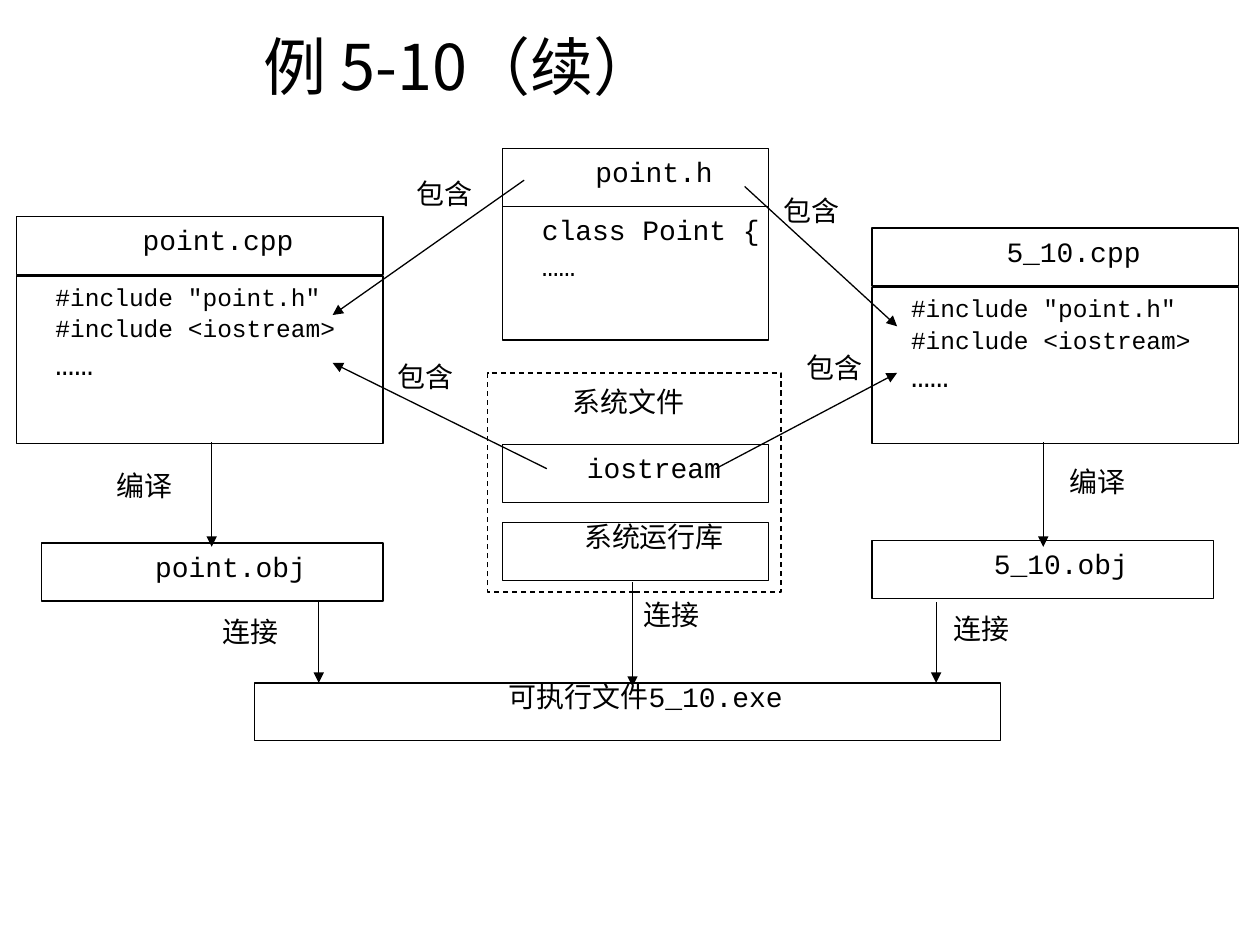
from dataclasses import dataclass

from lxml.etree import SubElement
from pptx import Presentation
from pptx.dml.color import RGBColor
from pptx.enum.dml import MSO_LINE
from pptx.enum.shapes import MSO_CONNECTOR, MSO_SHAPE
from pptx.enum.text import MSO_ANCHOR, PP_ALIGN
from pptx.oxml.ns import qn
from pptx.util import Inches, Pt

COLORS = {"ink": "000000"}
CODE_FONT, CHINESE_FONT = "Courier New", "Noto Sans CJK SC"
COLUMNS, ROWS = 100, 75
HEADER_HEIGHT = 4.6
LABEL_HEIGHT = 3.9
FIRST_INDENT = Inches(0.29)


@dataclass
class Line:
    text: str
    size: int = 16


@dataclass
class Box:
    column: float
    row: float
    width: float
    height: float = HEADER_HEIGHT
    lines: tuple[Line, ...] = ()
    align: PP_ALIGN = PP_ALIGN.CENTER
    dashed: bool = False


@dataclass
class Label:
    column: float
    row: float
    text: str
    width: float = 10.1


@dataclass
class Arrow:
    start: tuple[float, float]
    end: tuple[float, float]


INCLUDES = (Line('#include "point.h"', 14), Line("#include <iostream>", 14), Line("……", 18))
BOXES = [
    Box(38.7, 29.6, 23.3, 17.4, dashed=True),
    Box(1.3, 17.2, 29.1, lines=(Line("point.cpp"),)),
    Box(1.3, 21.9, 29.1, 13.3, INCLUDES, PP_ALIGN.LEFT),
    Box(39.9, 11.8, 21.1, lines=(Line("point.h"),)),
    Box(39.9, 16.4, 21.1, 10.6, (Line("class Point {"), Line("……")), PP_ALIGN.LEFT),
    Box(69.2, 18.1, 29.1, lines=(Line("5_10.cpp"),)),
    Box(69.2, 22.8, 29.1, 12.4, INCLUDES, PP_ALIGN.LEFT),
    Box(39.9, 35.3, 21.1, lines=(Line("iostream"),)),
    Box(39.9, 41.5, 21.1, lines=(Line("系统运行库"),)),
    Box(3.3, 43.1, 27.1, lines=(Line("point.obj"),)),
    Box(69.2, 42.9, 27.1, lines=(Line("5_10.obj"),)),
    Box(20.2, 54.2, 59.2, lines=(Line("可执行文件5_10.exe"),)),
]
LABELS = [
    Label(28.8, 14.3, "包含"), Label(57.9, 15.7, "包含"),
    Label(27.3, 28.8, "包含"), Label(59.7, 28.1, "包含"),
    Label(5, 37.5, "编译"), Label(80.6, 37.2, "编译"),
    Label(13.4, 49.1, "连接"), Label(46.8, 47.7, "连接"), Label(71.4, 48.8, "连接"),
    Label(37.6, 30.8, "系统文件", 21.7),
]
ARROWS = [
    Arrow((41.6, 14.3), (26.4, 25)), Arrow((59.1, 14.8), (71.2, 25.9)),
    Arrow((43.4, 37.2), (26.4, 28.8)), Arrow((56.8, 37.2), (71.2, 29.6)),
    Arrow((16.8, 35.1), (16.8, 43.4)), Arrow((82.8, 35.1), (82.8, 43.4)),
    Arrow((25.3, 47.8), (25.3, 54.2)), Arrow((74.3, 47.8), (74.3, 54.2)),
    Arrow((50.2, 46.2), (50.2, 54.5)),
]


def color(name: str) -> RGBColor:
    """Look up a named colour."""
    return RGBColor.from_string(COLORS[name])


def place(presentation, *cells: float) -> list[int]:
    """Turn alternating columns and rows into slide lengths."""
    units = (presentation.slide_width / COLUMNS, presentation.slide_height / ROWS)
    return [round(cell * units[index % 2]) for index, cell in enumerate(cells)]


def is_chinese(text: str) -> bool:
    """Tell whether the text holds Chinese characters."""
    return any("\u4e00" <= character <= "\u9fff" for character in text)


def write_lines(shape, lines: tuple[Line, ...], align: PP_ALIGN) -> None:
    """Fill a shape with indented code-font paragraphs."""
    frame = shape.text_frame
    frame.word_wrap = True
    frame.vertical_anchor = MSO_ANCHOR.TOP
    frame.margin_left = frame.margin_right = Inches(0.02)
    frame.margin_top = Inches(0 if is_chinese(lines[0].text) else 0.05)
    frame.margin_bottom = 0
    for index, line in enumerate(lines):
        paragraph = frame.add_paragraph() if index else frame.paragraphs[0]
        paragraph.alignment = align
        paragraph.space_before = Pt(1 if index else 0)
        properties = paragraph._p.get_or_add_pPr()
        properties.set("marL", "0")
        properties.set("indent", str(FIRST_INDENT))
        run = paragraph.add_run()
        run.text = line.text
        run.font.size = Pt(line.size)
        run.font.name = CODE_FONT
        run.font.color.rgb = color("ink")
        if is_chinese(line.text):
            paragraph.line_spacing = 0.9
            SubElement(run._r.get_or_add_rPr(), qn("a:ea")).set("typeface", CHINESE_FONT)


def draw_box(presentation, slide, box: Box) -> None:
    """Draw one outlined file box."""
    shape = slide.shapes.add_shape(
        MSO_SHAPE.RECTANGLE, *place(presentation, box.column, box.row, box.width, box.height))
    shape.shadow.inherit = False
    shape.fill.background()
    shape.line.color.rgb = color("ink")
    shape.line.width = Pt(0.75)
    if box.dashed:
        shape.line.dash_style = MSO_LINE.DASH
    if box.lines:
        write_lines(shape, box.lines, box.align)


def draw_label(presentation, slide, label: Label) -> None:
    """Write the name of a build step."""
    shape = slide.shapes.add_textbox(
        *place(presentation, label.column, label.row, label.width, LABEL_HEIGHT))
    write_lines(shape, (Line(label.text),), PP_ALIGN.CENTER)


def draw_arrow(presentation, slide, arrow: Arrow) -> None:
    """Draw a thin arrow ending in a triangle."""
    connector = slide.shapes.add_connector(
        MSO_CONNECTOR.STRAIGHT, *place(presentation, *arrow.start, *arrow.end))
    connector.line.color.rgb = color("ink")
    connector.line.width = Pt(0.75)
    SubElement(connector.line._get_or_add_ln(), qn("a:tailEnd")).set("type", "triangle")
    SubElement(connector._element.spPr, qn("a:effectLst"))


def write_title(presentation, slide, text: str) -> None:
    """Place and format the slide title."""
    title = slide.shapes.title
    title.left, title.top, title.width, title.height = place(presentation, 19.9, 0.5, 74.4, 9.4)
    title.text_frame.vertical_anchor = MSO_ANCHOR.MIDDLE
    paragraph = title.text_frame.paragraphs[0]
    paragraph.alignment = PP_ALIGN.LEFT
    run = paragraph.add_run()
    run.text = text
    run.font.size = Pt(36)
    run.font.name = CHINESE_FONT
    run.font.color.rgb = color("ink")
    SubElement(run._r.get_or_add_rPr(), qn("a:ea")).set("typeface", CHINESE_FONT)


def main() -> None:
    """Build the compile-and-link diagram."""
    presentation = Presentation()
    presentation.slide_width, presentation.slide_height = Inches(10), Inches(7.5)
    slide = presentation.slides.add_slide(presentation.slide_layouts[5])
    write_title(presentation, slide, "例 5-10（续）")
    for box in BOXES:
        draw_box(presentation, slide, box)
    for arrow in ARROWS:
        draw_arrow(presentation, slide, arrow)
    for label in LABELS:
        draw_label(presentation, slide, label)
    presentation.save("out.pptx")


if __name__ == "__main__":
    main()
